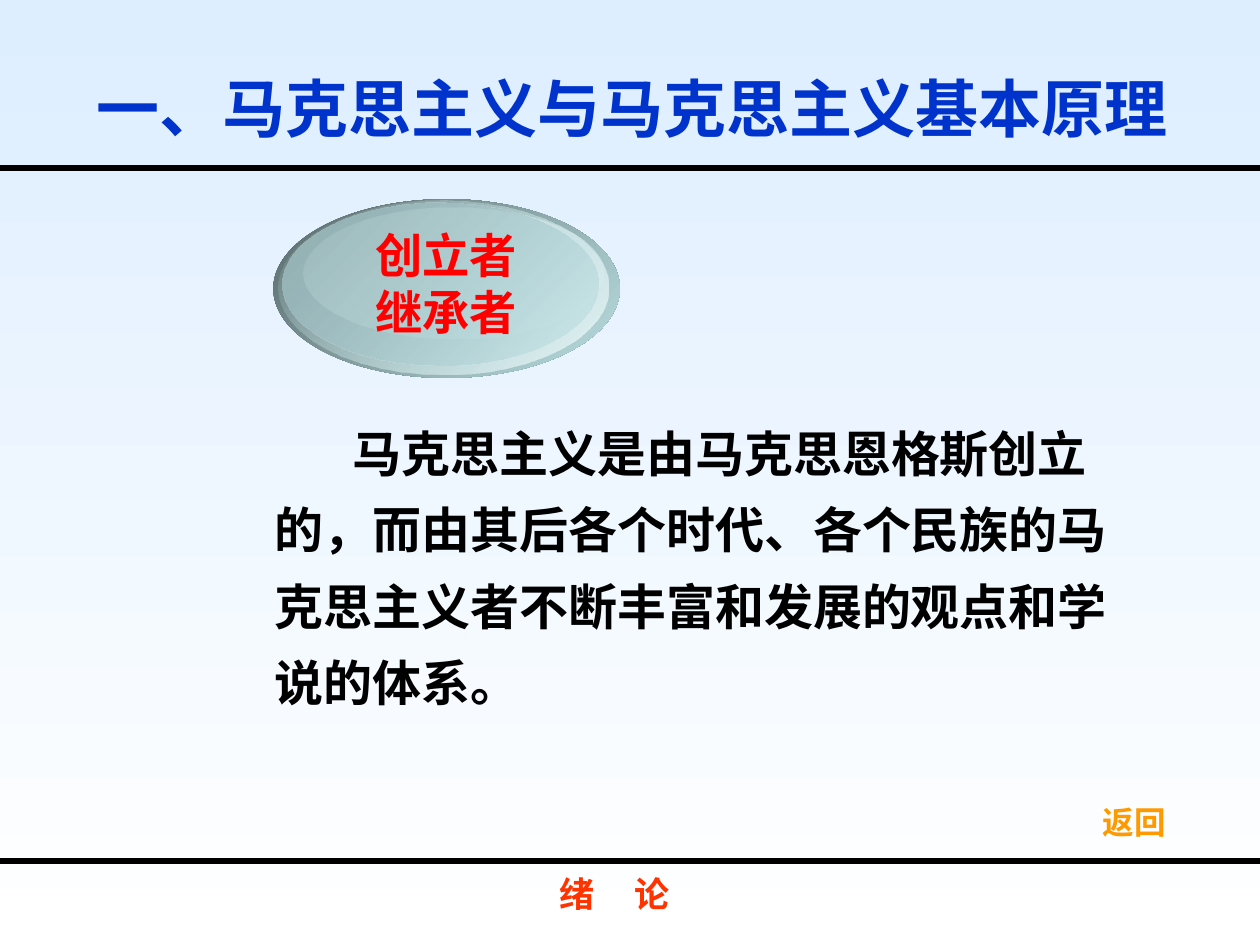
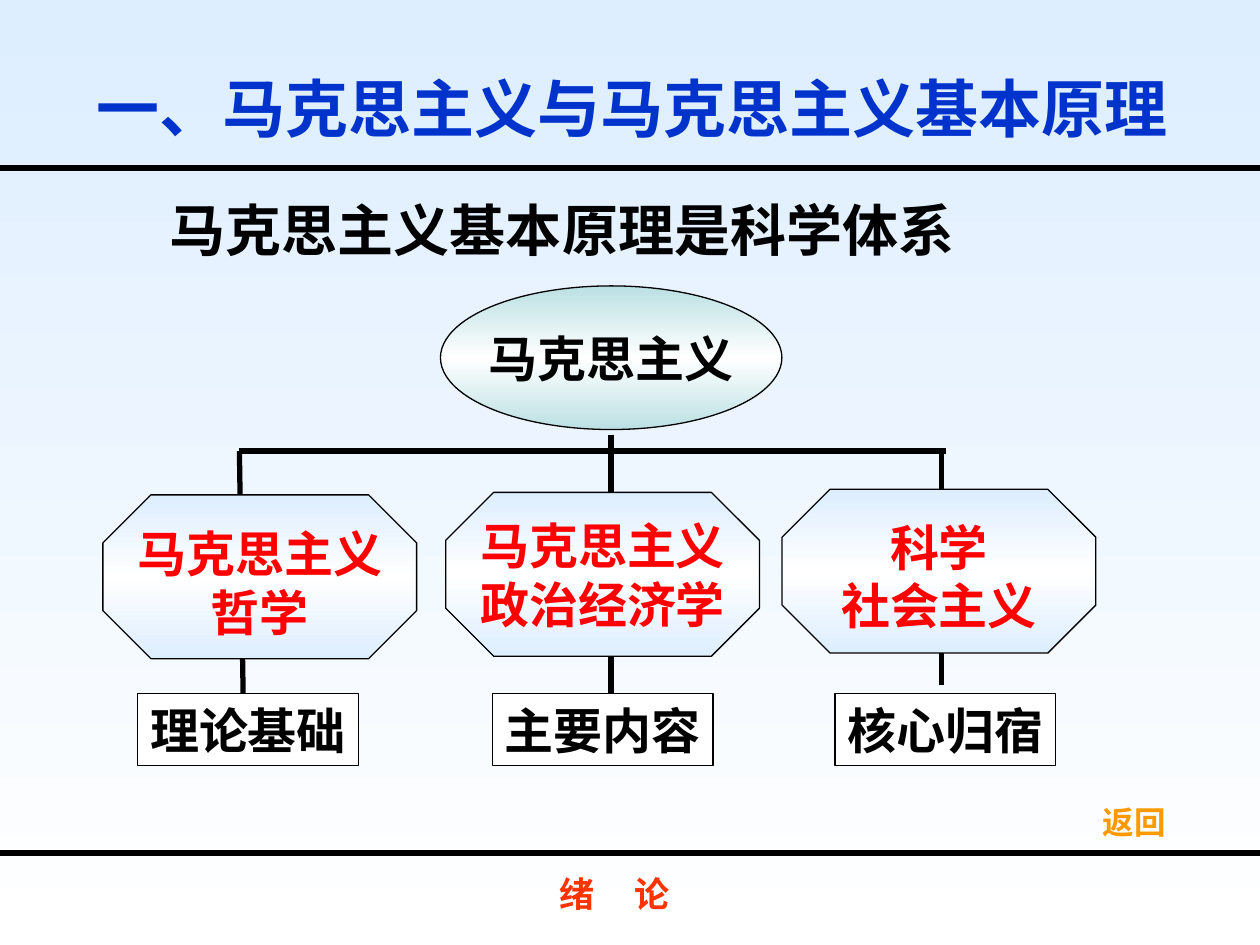
from lxml.etree import SubElement
from pptx import Presentation
from pptx.dml.color import RGBColor
from pptx.enum.shapes import MSO_CONNECTOR as CONN, MSO_SHAPE as SHAPE
from pptx.enum.text import MSO_ANCHOR as ANCHOR, PP_ALIGN as ALIGN
from pptx.oxml.ns import qn
from pptx.util import Pt

WIDTH, HEIGHT = 720, 540
BLACK, WHITE, RED = "000000", "FFFFFF", "FF0000"
BLUE, ORANGE, VERMILION = "0033CC", "FF9900", "FF3300"
SKY, TEAL = "DDEEFF", "BBE0E3"
BASE = {"name": "Arial", "bold": True}
HEADING = "一、马克思主义与马克思主义基本原理"


def rgb(color):
    """Turn a hex string into a colour."""
    return RGBColor.from_string(color)


def apply(target, values):
    """Set every attribute in values on target."""
    for name, value in values.items():
        setattr(target, name, value)


def gradient(fill, element, stops, angle=90):
    """Fill with (position, colour, opacity) stops, angle clockwise."""
    fill.gradient()
    fill.gradient_angle = 360 - angle
    gs_list = element.find(".//" + qn("a:gsLst"))
    gs_list.clear()
    for position, color, opacity in stops:
        gs = SubElement(gs_list, qn("a:gs"), pos=str(position * 1000))
        clr = SubElement(gs, qn("a:srgbClr"), val=color)
        if opacity < 100:
            SubElement(clr, qn("a:alpha"), val=str(opacity * 1000))


def mirrored(color):
    """Return stops running from a colour through white and back."""
    return [(0, color, 100), (50, WHITE, 100), (100, color, 100)]


def write(sp, lines, size, color, frame=None, para=None, font=None):
    """Write one paragraph per line and return the paragraphs."""
    tf = sp.text_frame
    apply(tf, {"word_wrap": False, "vertical_anchor": ANCHOR.MIDDLE, **(frame or {})})
    for i, line in enumerate(lines):
        p = tf.paragraphs[0] if i == 0 else tf.add_paragraph()
        apply(p, {"alignment": ALIGN.CENTER, **(para or {})})
        r = p.add_run()
        r.text = line
        apply(r.font, {**BASE, "size": Pt(size), **(font or {})})
        r.font.color.rgb = rgb(color)
        SubElement(r.font._element, qn("a:ea"), typeface=r.font.name)
    return tf.paragraphs


def add_text(s, box, lines, size, color, **formats):
    """Add a text box and return its paragraphs."""
    sp = s.shapes.add_textbox(*map(Pt, box))
    return write(sp, lines, size, color, **formats)


def add_shape(s, kind, box, outlined=True):
    """Add a preset shape with a thin black outline or none."""
    sp = s.shapes.add_shape(kind, *map(Pt, box))
    sp.shadow.inherit = False
    if outlined:
        sp.line.color.rgb = rgb(BLACK)
        sp.line.width = Pt(0.75)
    else:
        sp.line.fill.background()
    return sp


def add_line(s, x1, y1, x2, y2, width=3):
    """Add a black straight line."""
    cxn = s.shapes.add_connector(CONN.STRAIGHT, *map(Pt, (x1, y1, x2, y2)))
    cxn.line.color.rgb = rgb(BLACK)
    cxn.line.width = Pt(width)
    SubElement(cxn._element.spPr, qn("a:effectLst"))


def add_slide(prs, footer_y):
    """Add a slide with the shared background, title, rules and footer."""
    s = prs.slides.add_slide(prs.slide_layouts[6])
    gradient(s.background.fill, s.element, [(0, SKY, 100), (100, WHITE, 100)])
    for y in (96, footer_y):
        add_line(s, 0, y, WIDTH, y)
    add_text(s, (48, 30.4, 627, 62), [HEADING], 36, BLUE, para={"alignment": ALIGN.LEFT})
    add_text(s, (618, 451.5, 60, 36), ["返回"], 18, ORANGE)
    p = add_text(s, (312.5, 495.3, 104.5, 31.5), ["绪\t论"], 20, VERMILION,
                 frame={"vertical_anchor": ANCHOR.TOP},
                 para={"alignment": ALIGN.LEFT},
                 font={"name": "Noto Sans CJK SC"})[0]
    tabs = SubElement(p._p.get_or_add_pPr(), qn("a:tabLst"))
    SubElement(tabs, qn("a:tab"), pos=str(Pt(43)), algn="l")
    return s


def add_glossy_button(s):
    """Add the layered glass ellipse with its caption."""
    layers = [
        ((156.2, 113.8, 198, 102.2), ("576869", 100), (TEAL, 100)),
        ((173.5, 118.8, 171.4, 74.9), (WHITE, 100), (TEAL, 38)),
        ((159.1, 114.5, 188.6, 99.4), (TEAL, 0), ("E7F4F5", 100)),
        ((161.3, 115.9, 180.7, 92.9), ("94B1B4", 100), (TEAL, 48)),
    ]
    for box, start, end in layers:
        sp = add_shape(s, SHAPE.OVAL, box, outlined=False)
        gradient(sp.fill, sp.element, [(0, *start), (100, *end)], angle=45)
    add_text(s, (192, 126, 126, 72), ["创立者", "继承者"], 27, RED)


def add_branch(s, left, top, lines, drop, label, label_left):
    """Add an octagon, its text lowered by drop, and the label below it."""
    sp = add_shape(s, SHAPE.OCTAGON, (left, top, 179.3, 93.6))
    sp.adjustments[0] = 0.293
    gradient(sp.fill, sp.element, mirrored(SKY))
    write(sp, lines, 28, RED, frame={"margin_top": Pt(3.6 + 2 * drop)})
    sp = add_shape(s, SHAPE.RECTANGLE, (label_left, 396.5, 126, 41))
    sp.fill.solid()
    sp.fill.fore_color.rgb = rgb(WHITE)
    write(sp, [label], 28, BLACK)


def founders_slide(prs):
    """Build the slide about founders and successors."""
    s = add_slide(prs, 492)
    add_glossy_button(s)
    text = ("马克思主义是由马克思恩格斯创立的，而由其后各个时代、"
            "各个民族的马克思主义者不断丰富和发展的观点和学说的体系。")
    p = add_text(s, (150, 228.4, 500, 182), [text], 28, BLACK,
                 frame={"word_wrap": True, "vertical_anchor": ANCHOR.TOP},
                 para={"alignment": ALIGN.LEFT, "line_spacing": 1.3})[0]
    p._p.get_or_add_pPr().set("indent", str(Pt(44.5)))


def system_slide(prs):
    """Build the slide with the tree of the three components."""
    s = add_slide(prs, 487.5)
    add_text(s, (90, 108, 540, 46), ["马克思主义基本原理是科学体系"], 32, BLACK,
             para={"alignment": ALIGN.LEFT})
    bar_y = 257.8
    add_line(s, 136.8, bar_y, 139, 400)
    add_line(s, 136.8, bar_y, 540.7, bar_y)
    add_line(s, 537.8, bar_y, 537.8, 391.7, width=2.75)
    add_line(s, 349.2, 248.4, 349.2, 396)
    sp = add_shape(s, SHAPE.OVAL, (251.7, 163.4, 195.1, 82.1))
    gradient(sp.fill, sp.element, mirrored(TEAL))
    write(sp, ["马克思主义"], 28, BLACK)
    branches = [
        (58.8, 282.8, ["马克思主义", "哲学"], 3, "理论基础", 78.7),
        (254.7, 281.4, ["马克思主义", "政治经济学"], 0, "主要内容", 281.4),
        (446.9, 279.6, ["科学", "社会主义"], 2.7, "核心归宿", 477.2),
    ]
    for branch in branches:
        add_branch(s, *branch)


def main():
    """Build and save the presentation."""
    prs = Presentation()
    apply(prs, {"slide_width": Pt(WIDTH), "slide_height": Pt(HEIGHT)})
    founders_slide(prs)
    system_slide(prs)
    prs.save("out.pptx")


if __name__ == "__main__":
    main()
